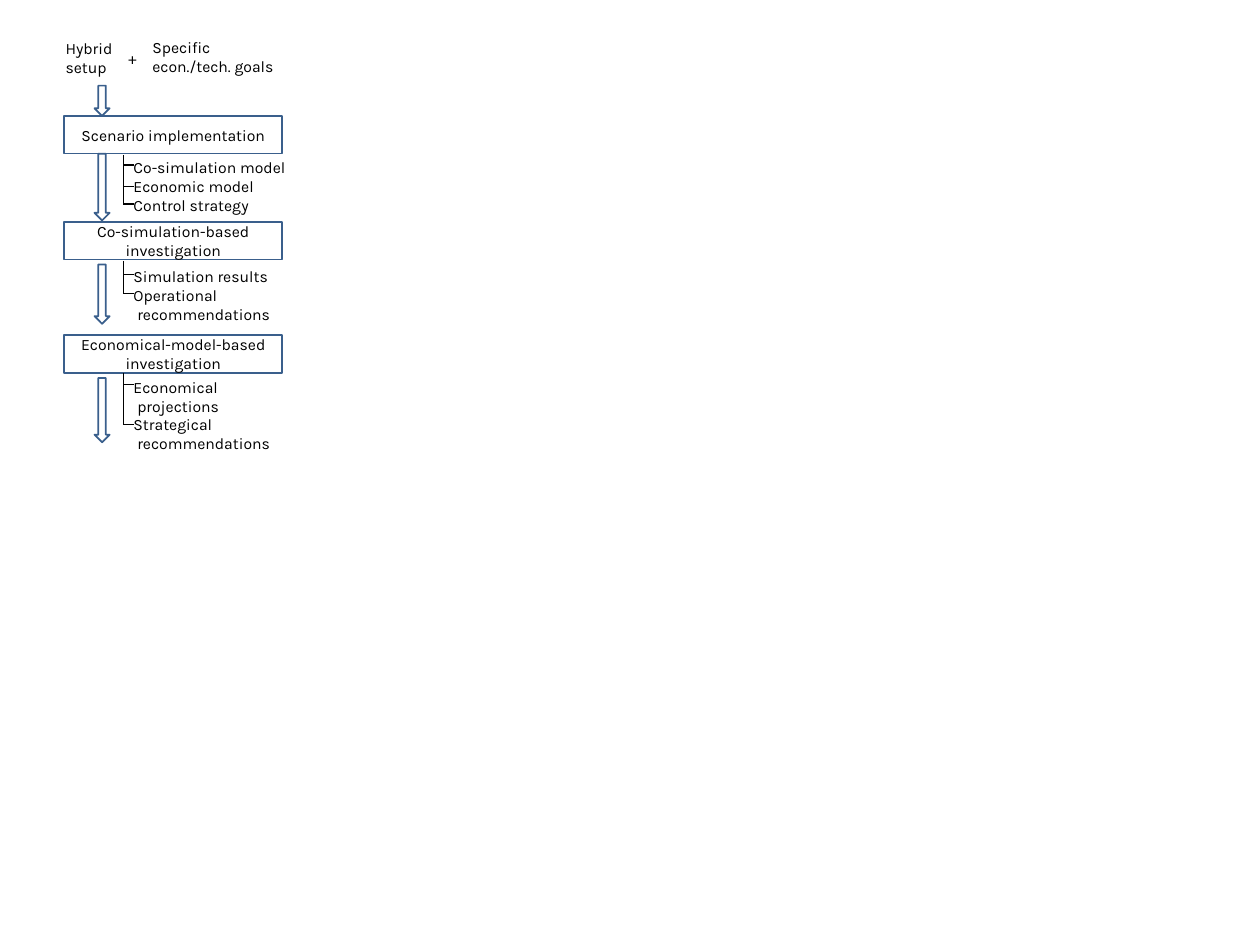
from pptx import Presentation
from pptx.dml.color import RGBColor
from pptx.enum import shapes, text
from pptx.oxml.ns import qn
from pptx.util import Inches, Pt
from lxml import etree

FONT = "Karla"
BLUE, BLACK, WHITE = "3A5F8C", "000000", "FFFFFF"
LEFT, STAGE_WIDTH, STAGE_HEIGHT = 0.51, 1.73, 0.3
ARROW_LEFT, ARROW_WIDTH = 0.75, 0.12
TRUNK, LABEL_LEFT, LABEL_WIDTH = 0.98, 1.06, 1.26
INDENT = 0.03

STAGES = [
    ("Scenario implementation", 0.92),
    ("Co-simulation-based investigation", 1.76),
    ("Economical-model-based investigation", 2.66),
]
ARROWS = [(0.68, 0.24), (1.22, 0.53), (2.1, 0.47), (3, 0.51)]
OUTPUTS = [
    (1.25, 0.45, 1.23, [1.31, 1.48, 1.62],
     [("Co-simulation model", 0), ("Economic model", 0), ("Control strategy", 0)]),
    (2.12, 0.45, 2.07, [2.18, 2.33],
     [("Simulation results", 0), ("Operational", 0), ("recommendations", INDENT)]),
    (2.99, 0.61, 2.96, [3.05, 3.37],
     [("Economical", 0), ("projections", INDENT),
      ("Strategical", 0), ("recommendations", INDENT)]),
]


def color(value):
    return RGBColor.from_string(value)


def write(shape, lines, align=text.PP_ALIGN.LEFT, spacing=None):
    frame = shape.text_frame
    frame.word_wrap = True
    frame.vertical_anchor = text.MSO_ANCHOR.MIDDLE
    frame.margin_left = frame.margin_right = 0
    frame.margin_top = frame.margin_bottom = 0
    for index, (line, indent) in enumerate(lines):
        paragraph = frame.add_paragraph() if index else frame.paragraphs[0]
        paragraph.alignment = align
        if spacing:
            paragraph.line_spacing = Pt(spacing)
        if indent:
            paragraph._p.get_or_add_pPr().set("marL", str(Inches(indent)))
        run = paragraph.add_run()
        run.text = line
        run.font.name = FONT
        run.font.size = Pt(9)
        run.font.color.rgb = color(BLACK)


def add_label(slide, left, top, width, height, lines, spacing=None):
    label = slide.shapes.add_textbox(
        Inches(left), Inches(top), Inches(width), Inches(height))
    write(label, lines, spacing=spacing)


def add_outlined(slide, kind, left, top, width, height):
    outlined = slide.shapes.add_shape(
        kind, Inches(left), Inches(top), Inches(width), Inches(height))
    outlined.shadow.inherit = False
    outlined.fill.solid()
    outlined.fill.fore_color.rgb = color(WHITE)
    outlined.line.color.rgb = color(BLUE)
    outlined.line.width = Pt(1)
    return outlined


def add_line(slide, x1, y1, x2, y2):
    line = slide.shapes.add_connector(
        shapes.MSO_CONNECTOR.STRAIGHT,
        Inches(x1), Inches(y1), Inches(x2), Inches(y2))
    line.line.color.rgb = color(BLACK)
    line.line.width = Pt(0.75)
    etree.SubElement(line._element.spPr, qn("a:effectLst"))


def add_outputs(slide, top, height, trunk_top, branches, lines):
    add_label(slide, LABEL_LEFT, top, LABEL_WIDTH, height, lines)
    add_line(slide, TRUNK, trunk_top, TRUNK, branches[-1])
    for branch in branches:
        add_line(slide, TRUNK, branch, LABEL_LEFT, branch)


def main():
    deck = Presentation()
    deck.slide_width, deck.slide_height = Inches(10), Inches(7.5)
    slide = deck.slides.add_slide(deck.slide_layouts[6])
    for name, top in STAGES:
        stage = add_outlined(slide, shapes.MSO_SHAPE.RECTANGLE,
                             LEFT, top, STAGE_WIDTH, STAGE_HEIGHT)
        write(stage, [(name, 0)], text.PP_ALIGN.CENTER)
    add_label(slide, 0.52, 0.31, 0.39, 0.3, [("Hybrid setup", 0)])
    add_label(slide, 1.21, 0.3, 1.1, 0.3,
              [("Specific", 0), ("econ./tech. goals", 0)])
    add_label(slide, 1.02, 0.42, 0.16, 0.12, [("+", 0)], spacing=8)
    for top, height in ARROWS:
        add_outlined(slide, shapes.MSO_SHAPE.DOWN_ARROW,
                     ARROW_LEFT, top, ARROW_WIDTH, height)
    for output in OUTPUTS:
        add_outputs(slide, *output)
    deck.save("out.pptx")


main()
